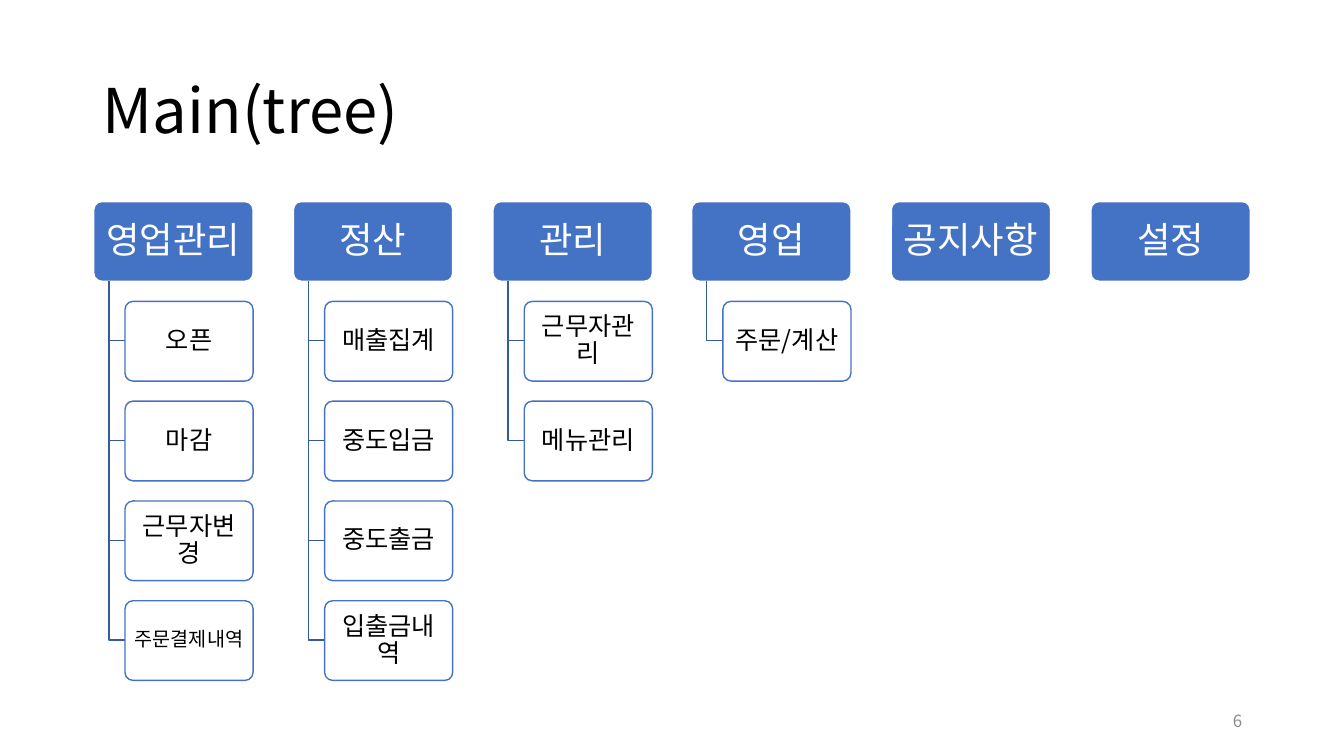
from dataclasses import dataclass

from lxml.etree import SubElement
from pptx import Presentation
from pptx.dml.color import RGBColor
from pptx.enum.lang import MSO_LANGUAGE_ID
from pptx.enum.shapes import MSO_SHAPE
from pptx.enum.text import MSO_ANCHOR, MSO_AUTO_SIZE, PP_ALIGN
from pptx.oxml.ns import qn
from pptx.util import Emu, Pt

EMU_PER_PX = 9144  # 100 px to the inch


def px(length):
    return Emu(length * EMU_PER_PX)


@dataclass(frozen=True)
class Theme:
    font: str = "Noto Sans CJK KR"
    accent: str = "4472C4"
    branch: str = "365B9D"
    light: str = "FFFFFF"
    dark: str = "000000"
    muted: str = "8C8C8C"
    title_size: int = 44
    menu_size: int = 26
    item_size: int = 18
    small_item_size: int = 14
    number_size: int = 12
    line_width: int = 1


class TreeSlide:
    def __init__(self, slide, theme):
        self.slide = slide
        self.theme = theme

    def label(self, frame, text, size, color, align, line_spacing=None, inset=(10, 5)):
        frame.text = text
        frame.word_wrap = True
        frame.auto_size = MSO_AUTO_SIZE.NONE
        frame.vertical_anchor = MSO_ANCHOR.MIDDLE
        frame.margin_left = frame.margin_right = px(inset[0])
        frame.margin_top = frame.margin_bottom = px(inset[1])
        paragraph = frame.paragraphs[0]
        paragraph.alignment = align
        paragraph.line_spacing = line_spacing
        run = paragraph.runs[0]
        run.font.size = Pt(size)
        run.font.color.rgb = RGBColor.from_string(color)
        run.font.name = self.theme.font
        run.font.language_id = MSO_LANGUAGE_ID.KOREAN
        # East Asian typeface
        SubElement(run._r.get_or_add_rPr(), qn("a:ea"), typeface=self.theme.font)

    def outline(self, shape, color):
        shape.shadow.inherit = False
        shape.line.color.rgb = RGBColor.from_string(color)
        shape.line.width = Pt(self.theme.line_width)

    def title(self, text, box):
        heading = self.slide.shapes.title
        heading.left, heading.top, heading.width, heading.height = map(px, box)
        self.label(heading.text_frame, text, self.theme.title_size,
                   self.theme.dark, PP_ALIGN.LEFT, 0.9)

    def card(self, text, box, size, fill, border, color, inset, opacity=100):
        card = self.slide.shapes.add_shape(MSO_SHAPE.ROUNDED_RECTANGLE, *map(px, box))
        card.adjustments[0] = 0.1
        card.fill.solid()
        card.fill.fore_color.rgb = RGBColor.from_string(fill)
        if opacity < 100:
            fill_color = card._element.spPr.find(qn("a:solidFill"))[0]
            SubElement(fill_color, qn("a:alpha"), val=str(opacity * 1000))
        self.outline(card, border)
        self.label(card.text_frame, text, size, color, PP_ALIGN.CENTER, 0.9, inset)

    def menu(self, text, box):
        theme = self.theme
        self.card(text, box, theme.menu_size, theme.accent, theme.light,
                  theme.light, (5, 4))

    def item(self, text, box):
        theme = self.theme
        is_long = len(text) > 5
        size = theme.small_item_size if is_long else theme.item_size
        inset = (3, 2) if is_long else (4, 3)
        self.card(text, box, size, theme.light, theme.accent, theme.dark, inset, 90)

    def branch(self, left, top, right, bottom):
        builder = self.slide.shapes.build_freeform(left, top, scale=EMU_PER_PX)
        builder.add_line_segments([(left, bottom), (right, bottom)], close=False)
        elbow = builder.convert_to_shape()
        elbow.fill.background()
        self.outline(elbow, self.theme.branch)

    def page_number(self, text, box):
        number = self.slide.shapes.add_textbox(*map(px, box))
        self.label(number.text_frame, text, self.theme.number_size,
                   self.theme.muted, PP_ALIGN.RIGHT)


MENUS = {
    "영업관리": ["오픈", "마감", "근무자변경", "주문결제내역"],
    "정산": ["매출집계", "중도입금", "중도출금", "입출금내역"],
    "관리": ["근무자관리", "메뉴관리"],
    "영업": ["주문/계산"],
    "공지사항": [],
    "설정": [],
}

# Tree grid, in px
TREE_LEFT, TREE_TOP = 93, 200
COLUMN_PITCH, ROW_PITCH = 197.8, 99
MENU_WIDTH, ITEM_WIDTH, CARD_HEIGHT = 158, 127, 79
BRANCH_INDENT, ITEM_INDENT = 15, 31


def main():
    presentation = Presentation()
    presentation.slide_width, presentation.slide_height = px(1333), px(750)
    title_only = presentation.slide_layouts[5]
    tree = TreeSlide(presentation.slides.add_slide(title_only), Theme())

    tree.title("Main(tree)", (92, 40, 1150, 145))

    # Menus with their items below
    for column, (menu, items) in enumerate(MENUS.items()):
        left = round(TREE_LEFT + column * COLUMN_PITCH)
        tree.menu(menu, (left, TREE_TOP, MENU_WIDTH, CARD_HEIGHT))
        item_left = left + ITEM_INDENT
        for row, item in enumerate(items, start=1):
            top = TREE_TOP + row * ROW_PITCH
            tree.branch(left + BRANCH_INDENT, TREE_TOP + CARD_HEIGHT,
                        item_left, top + CARD_HEIGHT // 2)
            tree.item(item, (item_left, top, ITEM_WIDTH, CARD_HEIGHT))

    tree.page_number("6", (942, 695, 300, 40))
    presentation.save("out.pptx")


if __name__ == "__main__":
    main()
